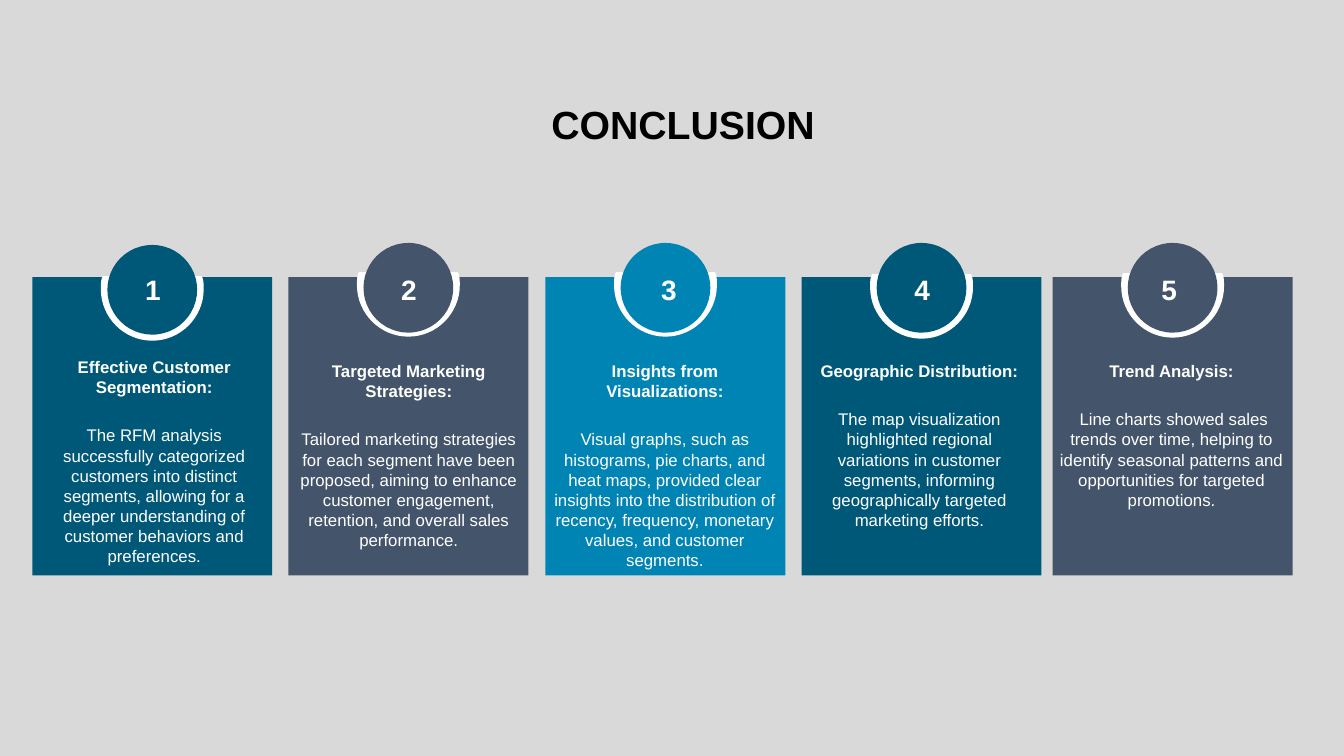
import lxml.etree
import pptx
import pptx.dml.color
import pptx.enum.shapes
import pptx.enum.text
import pptx.oxml.ns
import pptx.util

RGBColor = pptx.dml.color.RGBColor
Inches = pptx.util.Inches
Pt = pptx.util.Pt
qn = pptx.oxml.ns.qn
MSO_SHAPE = pptx.enum.shapes.MSO_SHAPE
PP_ALIGN = pptx.enum.text.PP_ALIGN

GREY = RGBColor(0xD9, 0xD9, 0xD9)
TEAL = RGBColor(0x00, 0x58, 0x78)
SLATE = RGBColor(0x44, 0x54, 0x6A)
BLUE = RGBColor(0x00, 0x84, 0xB4)
WHITE = RGBColor(0xFF, 0xFF, 0xFF)
BLACK = RGBColor(0x00, 0x00, 0x00)

CARD_TOP, CARD_WIDTH, CARD_HEIGHT = 2.75, 2.38, 2.96
BADGE_SIZE = 0.89

# Right half of the ring, measured from the middle of its flat top:
# a short straight edge, then two curves of three points each
RING_EDGE = [(0.49, 0), (0.5, 0.02)]
RING_CURVES = [(0.51, 0.05), (0.51, 0.09), (0.51, 0.13),
               (0.51, 0.41), (0.28, 0.64), (0, 0.64)]

# colour, card left, badge top, ring top, number (left, width),
# text (left, top, width, height), heading, body
CARDS = [
    (TEAL, 0.32, 2.43, 2.74, (1.34, 0.74), (0.34, 3.49, 2.38, 2.04),
     "Effective Customer Segmentation:",
     "The RFM analysis successfully categorized customers into distinct segments, "
     "allowing for a deeper understanding of customer behaviors and preferences."),
    (SLATE, 2.86, 2.41, 2.7, (3.88, 0.62), (2.87, 3.53, 2.37, 1.85),
     "Targeted Marketing Strategies:",
     "Tailored marketing strategies for each segment have been proposed, aiming to "
     "enhance customer engagement, retention, and overall sales performance."),
    (BLUE, 5.41, 2.41, 2.7, (6.46, 0.71), (5.39, 3.53, 2.41, 2.04),
     "Insights from Visualizations:",
     "Visual graphs, such as histograms, pie charts, and heat maps, provided clear "
     "insights into the distribution of recency, frequency, monetary values, and "
     "customer segments."),
    (TEAL, 7.95, 2.41, 2.72, (8.97, 0.73), (7.92, 3.53, 2.4, 1.6),
     "Geographic Distribution:",
     "The map visualization highlighted regional variations in customer segments, "
     "informing geographically targeted marketing efforts."),
    (SLATE, 10.44, 2.41, 2.71, (11.42, 0.45), (10.33, 3.53, 2.58, 2.12),
     "Trend Analysis:",
     " Line charts showed sales trends over time, helping to identify seasonal "
     "patterns and opportunities for targeted promotions."),
]


class SlideBuilder:
    def __init__(self, slide, font="Arial"):
        self.slide = slide
        self.font = font

    def paint(self, shape, color):
        shape.shadow.inherit = False
        shape.fill.solid()
        shape.fill.fore_color.rgb = color
        shape.line.fill.background()

    def block(self, kind, box, color):
        shape = self.slide.shapes.add_shape(kind, *map(Inches, box))
        self.paint(shape, color)

    def ring(self, center_x, top, color):
        """A disc with its upper part cut off level."""
        half = RING_EDGE + RING_CURVES
        outline = half + [(-x, y) for x, y in reversed(half[:-1])]
        points = [(Inches(center_x + x), Inches(top + y)) for x, y in outline]
        builder = self.slide.shapes.build_freeform(*points[0])
        builder.add_line_segments(points[1:], close=True)
        shape = builder.convert_to_shape()
        self.paint(shape, color)
        # Turn each three points along the arc into one curve
        lines = list(shape.element.iter(qn("a:lnTo")))
        arc = lines[1:1 + 2 * len(RING_CURVES)]
        for first in range(0, len(arc), 3):
            curve = lxml.etree.Element(qn("a:cubicBezTo"))
            arc[first].addprevious(curve)
            for line in arc[first:first + 3]:
                curve.append(line[0])
                line.getparent().remove(line)

    def text(self, box, paragraphs, size, color, align=PP_ALIGN.CENTER):
        """Each paragraph is (words, bold, space before in points)."""
        frame = self.slide.shapes.add_textbox(*map(Inches, box)).text_frame
        frame.word_wrap = True
        for index, (words, bold, space) in enumerate(paragraphs):
            paragraph = frame.add_paragraph() if index else frame.paragraphs[0]
            paragraph.alignment = align
            paragraph.space_before = Pt(space)
            run = paragraph.add_run()
            run.text = words
            style = {"name": self.font, "size": Pt(size), "bold": bold}
            for name, value in style.items():
                setattr(run.font, name, value)
            run.font.color.rgb = color


def main():
    deck = pptx.Presentation()
    deck.slide_width, deck.slide_height = Inches(13.33), Inches(7.5)
    slide = deck.slides.add_slide(deck.slide_layouts[6])
    slide.background.fill.solid()
    slide.background.fill.fore_color.rgb = GREY
    builder = SlideBuilder(slide)

    # Numbered cards
    for number, card in enumerate(CARDS, 1):
        color, left, badge_top, ring_top, number_span, text_box, heading, body = card
        number_left, number_width = number_span
        center = left + CARD_WIDTH / 2
        builder.block(MSO_SHAPE.RECTANGLE,
                      (left, CARD_TOP, CARD_WIDTH, CARD_HEIGHT), color)
        builder.ring(center, ring_top, WHITE)
        builder.block(MSO_SHAPE.OVAL, (center - BADGE_SIZE / 2, badge_top,
                                       BADGE_SIZE, BADGE_SIZE), color)
        builder.text(text_box, [(heading, True, 3), (body, False, 20)], 12, WHITE)
        builder.text((number_left, 2.65, number_width, 0.44),
                     [(str(number), True, 0)], 20, WHITE, PP_ALIGN.LEFT)

    # Title
    builder.text((0.11, 0.95, 13.33, 0.97), [("CONCLUSION", True, 0)], 28, BLACK)

    deck.save("out.pptx")


if __name__ == "__main__":
    main()
